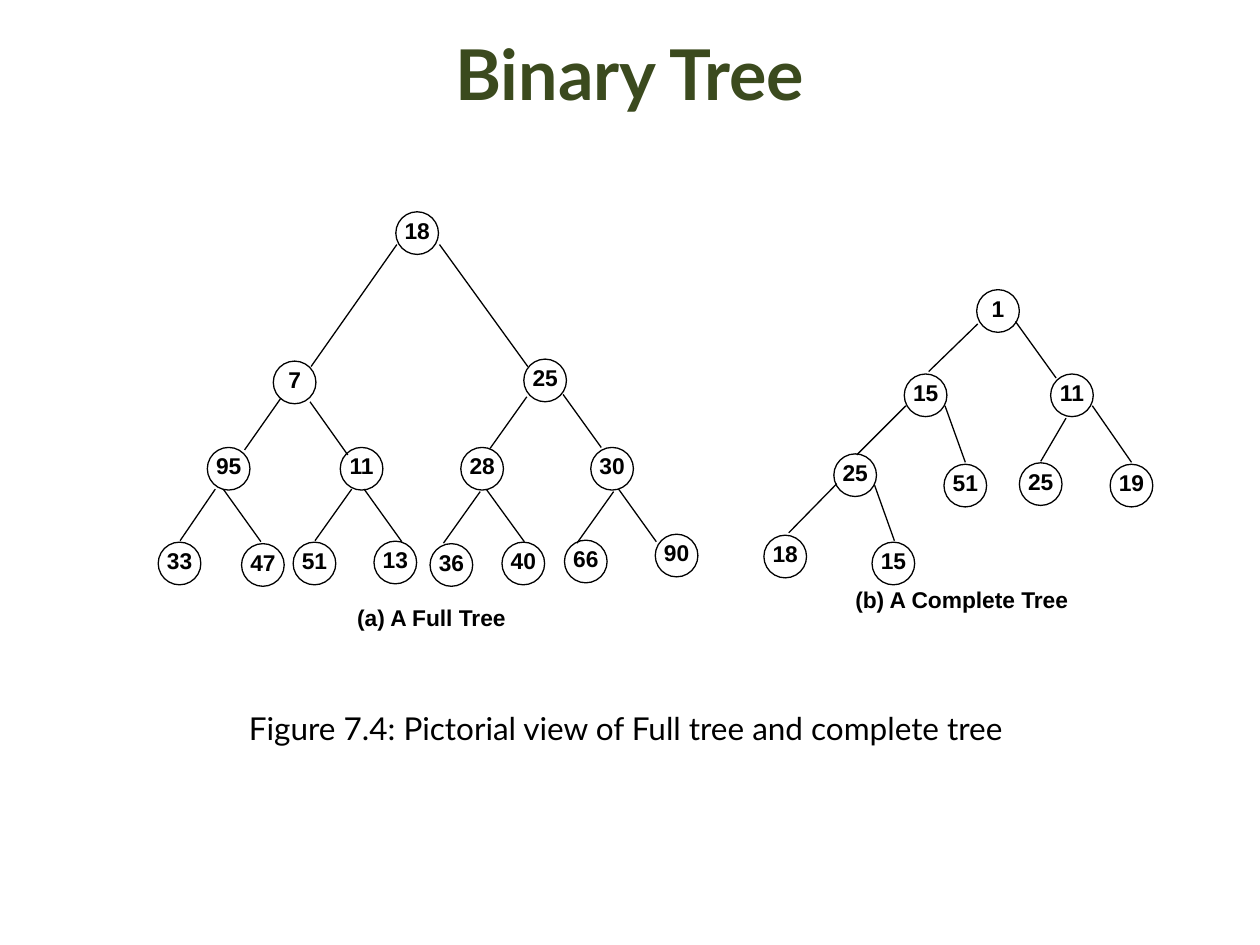
"""Build a slide comparing a full binary tree with a complete binary tree."""
from dataclasses import dataclass

from lxml import etree
from pptx import Presentation
from pptx.dml.color import RGBColor
from pptx.enum.shapes import MSO_CONNECTOR, MSO_SHAPE
from pptx.enum.text import MSO_ANCHOR, PP_ALIGN
from pptx.oxml.ns import qn
from pptx.util import Cm, Pt

STRAIGHT = MSO_CONNECTOR.STRAIGHT
OVAL = MSO_SHAPE.OVAL
CENTER = PP_ALIGN.CENTER
TOP, MIDDLE = MSO_ANCHOR.TOP, MSO_ANCHOR.MIDDLE


@dataclass(frozen=True)
class Theme:
    title_color: RGBColor = RGBColor(0x3B, 0x4A, 0x1E)
    ink: RGBColor = RGBColor(0, 0, 0)
    heading_font: str = "Lato"
    tree_font: str = "Arial"
    title_size: Pt = Pt(40)
    caption_size: Pt = Pt(18)
    tree_size: Pt = Pt(13)
    line_width: Pt = Pt(0.75)


theme = Theme()
DIAMETER = 0.86
LABEL_WIDTH = 1.74
LABEL_LIFT = 0.03

full_nodes = [
    ("18", 7.98, 4.27),
    ("7", 5.51, 7.28), ("25", 10.56, 7.24),
    ("95", 4.18, 9.02), ("11", 6.86, 9.02), ("28", 9.29, 9.02), ("30", 11.91, 9.02),
    ("33", 3.19, 10.93), ("47", 4.87, 10.96), ("51", 5.91, 10.93), ("13", 7.54, 10.91),
    ("36", 8.67, 10.96), ("40", 10.12, 10.93), ("66", 11.38, 10.89), ("90", 13.21, 10.77),
]
full_edges = [
    (8.00, 4.93, 6.27, 7.39), (8.86, 4.93, 10.64, 7.39),
    (5.66, 8.03, 4.93, 9.07), (6.25, 8.10, 7.01, 9.17),
    (10.62, 8.00, 9.88, 9.04), (11.35, 7.95, 12.12, 9.02),
    (4.34, 9.86, 3.63, 10.90), (4.50, 9.86, 5.26, 10.92),
    (7.09, 9.86, 6.35, 10.90), (7.34, 9.86, 8.10, 10.92),
    (9.68, 9.91, 8.94, 10.95), (9.80, 9.86, 10.57, 10.92),
    (12.37, 9.91, 11.63, 10.95), (12.47, 9.86, 13.23, 10.92),
]
complete_nodes = [
    ("1", 19.69, 5.84),
    ("15", 18.23, 7.54), ("11", 21.18, 7.54),
    ("25", 16.81, 9.15), ("51", 19.03, 9.36), ("25", 20.55, 9.33), ("19", 22.38, 9.36),
    ("18", 15.40, 10.79), ("15", 17.58, 10.93),
]
complete_edges = [
    (19.71, 6.53, 18.72, 7.49), (20.47, 6.48, 21.29, 7.62),
    (18.26, 8.18, 17.27, 9.17), (19.05, 8.18, 19.46, 9.32),
    (21.49, 8.43, 20.98, 9.30), (22.02, 8.18, 22.81, 9.32),
    (16.87, 9.75, 15.90, 10.74), (17.63, 9.78, 18.03, 10.90),
]

presentation = Presentation()
presentation.slide_width = Cm(25.4)
presentation.slide_height = Cm(19.05)
slide = presentation.slides.add_slide(presentation.slide_layouts[6])


def add_text(text, left, top, width, height, size, font_name, color, bold, anchor=TOP):
    box = slide.shapes.add_textbox(Cm(left), Cm(top), Cm(width), Cm(height))
    frame = box.text_frame
    frame.word_wrap = True
    frame.vertical_anchor = anchor
    paragraph = frame.paragraphs[0]
    paragraph.alignment = CENTER
    run = paragraph.add_run()
    run.text = text
    run.font.size = size
    run.font.name = font_name
    run.font.bold = bold
    run.font.color.rgb = color


def add_tree_text(text, left, top, width, height):
    add_text(text, left, top, width, height, theme.tree_size, theme.tree_font, theme.ink, True)


add_text("Binary Tree", 1.27, 0.2, 22.86, 2.54, theme.title_size,
         theme.heading_font, theme.title_color, True, MIDDLE)
add_text("Figure 7.4: Pictorial view of Full tree and complete tree", 1.19, 14.17, 22.86, 3.18,
         theme.caption_size, theme.heading_font, theme.ink, False)

for nodes, edges in ((full_nodes, full_edges), (complete_nodes, complete_edges)):
    for value, left, top in nodes:
        label_left = left - (LABEL_WIDTH - DIAMETER) / 2
        add_tree_text(value, label_left, top - LABEL_LIFT, LABEL_WIDTH, DIAMETER)
        circle = slide.shapes.add_shape(OVAL, Cm(left), Cm(top), Cm(DIAMETER), Cm(DIAMETER))
        circle.shadow.inherit = False
        circle.fill.background()
        circle.line.color.rgb = theme.ink
        circle.line.width = theme.line_width
    for edge in edges:
        connector = slide.shapes.add_connector(STRAIGHT, *map(Cm, edge))
        connector.line.color.rgb = theme.ink
        connector.line.width = theme.line_width
        etree.SubElement(connector.element.spPr, qn("a:effectLst"))

add_tree_text("(a) A Full Tree", 5.43, 12.04, 6.53, 0.97)
add_tree_text("(b) A Complete Tree", 15.46, 11.68, 7.85, 0.97)

presentation.save("out.pptx")
